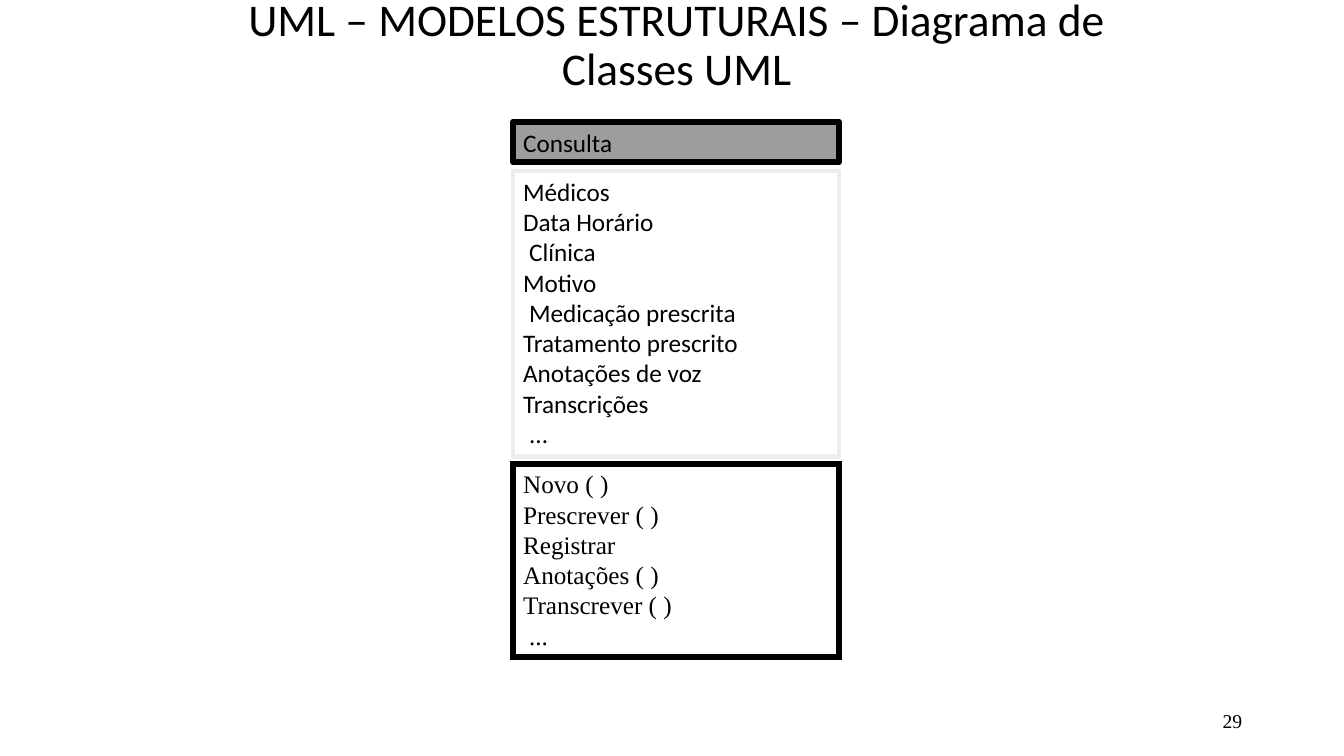
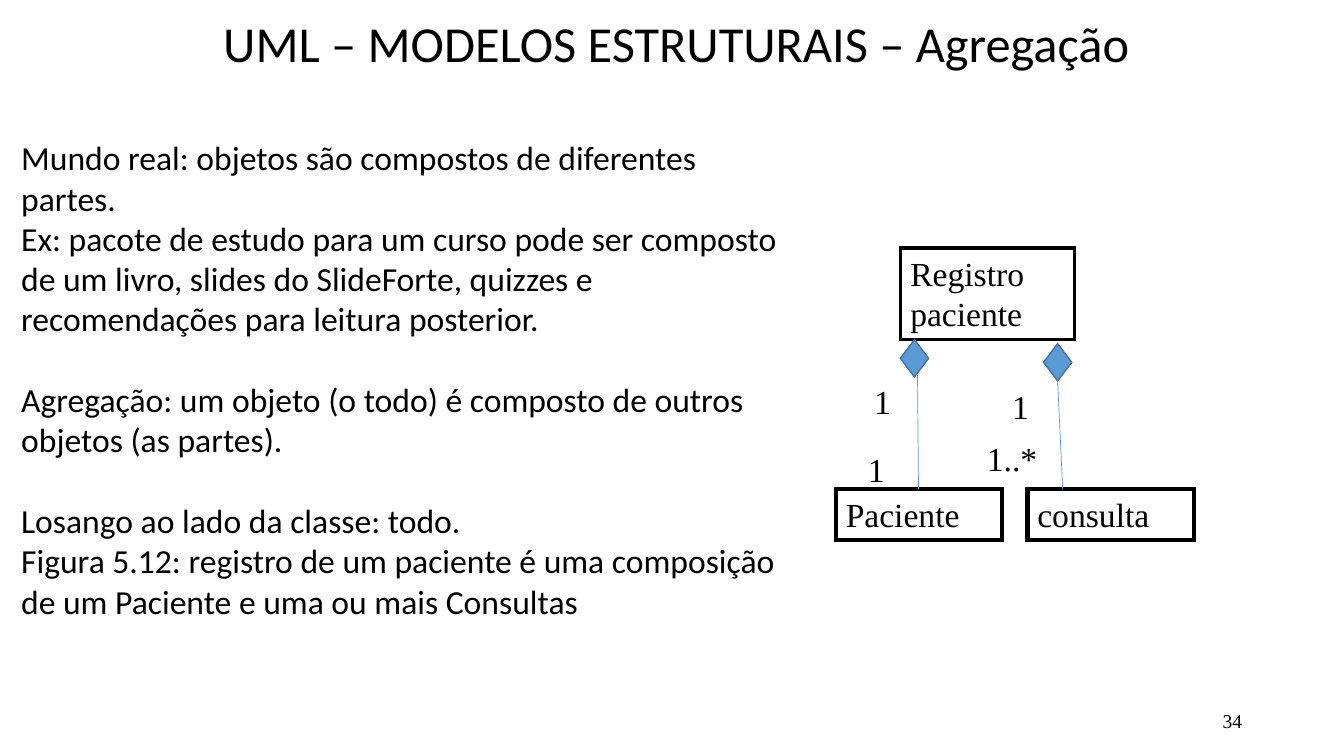
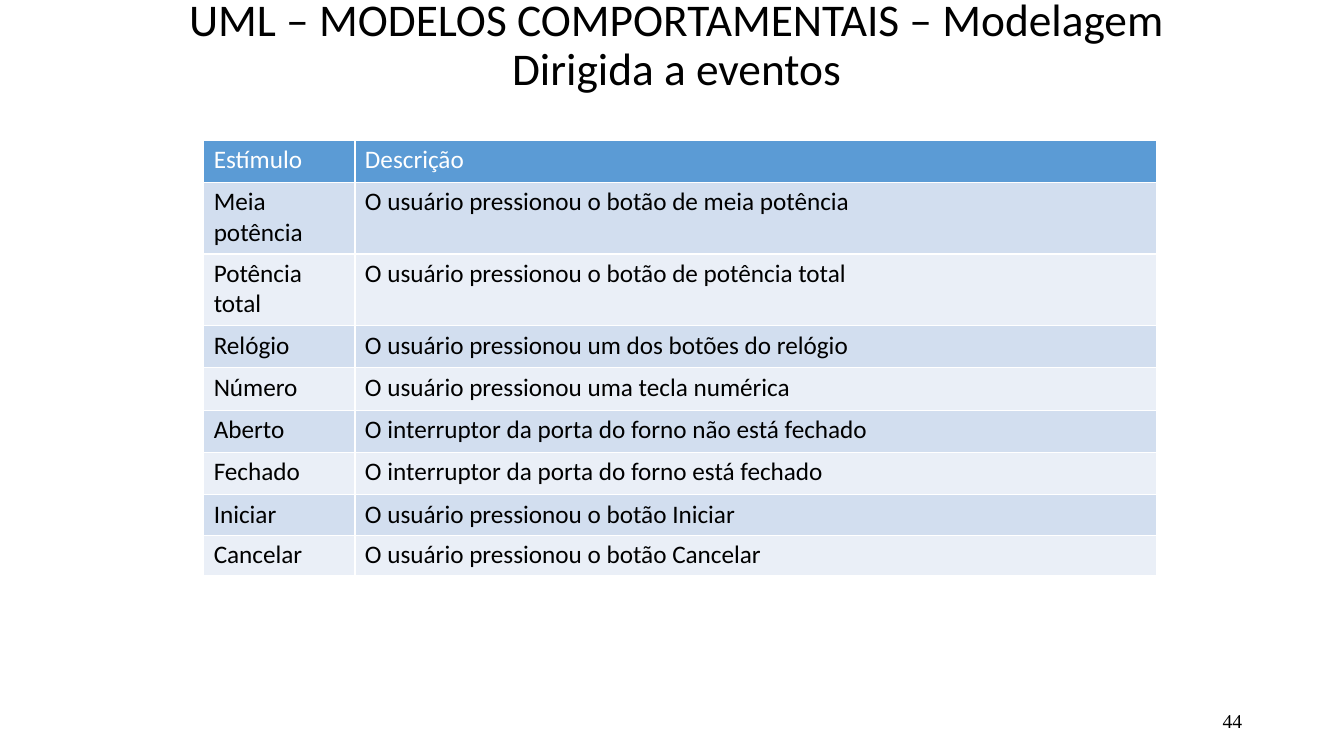
from lxml.etree import SubElement as add_node
from pptx import Presentation
from pptx.dml.color import RGBColor as Rgb
from pptx.enum.shapes import MSO_CONNECTOR as Link, MSO_SHAPE as Form
from pptx.enum.text import MSO_ANCHOR as Anchor, MSO_AUTO_SIZE as Fit, PP_ALIGN as Align
from pptx.oxml.ns import qn
from pptx.util import Emu, Pt

SCALE = 9144
SANS = "Calibri"
SERIF = "Times New Roman"
LEADING = 1.2
INDENT = 6
COLORS = {
    "ink": "000000",
    "paper": "FFFFFF",
    "gray": "9D9D9D",
    "pale": "EDEDED",
    "blue": "5B9BD5",
    "edge": "43739E",
    "dark": "D2DEEF",
    "light": "EAEFF7",
}


def px(count):
    return Emu(count * SCALE)


def tint(name):
    return Rgb.from_string(COLORS[name])


def place(shape, area):
    shape.left, shape.top, shape.width, shape.height = map(px, area)


def write(frame, lines, size, face=SANS, color="ink", align=Align.LEFT,
          anchor=Anchor.TOP, spacing=None, inset=(), gaps=()):
    frame.text = "\n".join(lines)
    frame.word_wrap = True
    frame.auto_size = Fit.NONE
    frame.vertical_anchor = anchor
    style(frame.paragraphs, size, face, color, align, spacing, inset, gaps)


def style(lines, size, face=SANS, color="ink", align=Align.LEFT,
          spacing=None, inset=(), gaps=()):
    for index, line in enumerate(lines):
        props = line._p.get_or_add_pPr()
        props.set("marL", str(px(INDENT if index in inset else 0)))
        props.set("indent", "0")
        add_node(props, qn("a:buNone"))
        line.alignment = align
        line.line_spacing = spacing or Pt(size * LEADING)
        line.space_before = Pt(size * LEADING if index in gaps else 0)
        line.space_after = Pt(0)
        for run in line.runs:
            run.font.size = Pt(size)
            run.font.name = face
            run.font.color.rgb = tint(color)


def add_page(deck, layout, title, number, size):
    slide = deck.slides.add_slide(deck.slide_layouts[layout])
    place(slide.shapes.title, (167, 0, 1008, 91))
    write(slide.shapes.title.text_frame, [title], size, align=Align.CENTER,
          anchor=Anchor.MIDDLE, spacing=0.9)
    add_label(slide.shapes, (942, 695, 300, 40), str(number), 14,
              align=Align.RIGHT, anchor=Anchor.MIDDLE)
    return slide


def add_label(shapes, area, text, size, **look):
    label = shapes.add_textbox(*map(px, area))
    write(label.text_frame, [text], size, SERIF, **look)


def add_form(shapes, form, area, fill, edge, weight, sharp=True):
    shape = shapes.add_shape(form, *map(px, area))
    shape.shadow.inherit = False
    if fill:
        shape.fill.solid()
        shape.fill.fore_color.rgb = tint(fill)
    else:
        shape.fill.background()
    shape.line.color.rgb = tint(edge)
    shape.line.width = Pt(weight)
    if sharp:
        stroke = shape.element.spPr.find(qn("a:ln"))
        add_node(stroke, qn("a:miter"), lim="800000")
    return shape


def add_box(shapes, area, lines, size, face, weight, fill=None, edge="ink",
            sharp=True, inset=()):
    box = add_form(shapes, Form.RECTANGLE, area, fill, edge, weight, sharp)
    write(box.text_frame, lines, size, face, inset=inset)


def add_link(shapes, start, end):
    link = shapes.add_connector(Link.STRAIGHT, *map(px, start + end))
    link.line.color.rgb = tint("blue")
    link.line.width = Pt(0.5)
    add_node(link.element.spPr, qn("a:effectLst"))


def add_borders(cell):
    props = cell._tc.get_or_add_tcPr()
    for side in ("lnL", "lnR", "lnT", "lnB"):
        border = add_node(props, qn("a:" + side), w=str(Pt(1)))
        fill = add_node(border, qn("a:solidFill"))
        add_node(fill, qn("a:srgbClr"), val=COLORS["paper"])


def add_grid(shapes, left, top, widths, heights, rows):
    area = (left, top, sum(widths), sum(heights))
    grid = shapes.add_table(len(rows), len(widths), *map(px, area)).table
    for column, width in zip(grid.columns, widths):
        column.width = px(width)
    for index, (row, height, texts) in enumerate(zip(grid.rows, heights, rows)):
        row.height = px(height)
        band = "dark" if index % 2 else "light"
        fill, color = (band, "ink") if index else ("blue", "paper")
        for cell, text in zip(row.cells, texts):
            add_borders(cell)
            cell.fill.solid()
            cell.fill.fore_color.rgb = tint(fill)
            cell.text_frame.text = text
            style(cell.text_frame.paragraphs, 18, color=color)


def add_class(deck):
    shapes = add_page(deck, 5, "UML – MODELOS ESTRUTURAIS – Diagrama de Classes UML",
                      29, 32.4).shapes
    left, width = 509, 323
    add_box(shapes, (left, 121, width, 40), ["Consulta"], 18, SANS, 4.5,
            fill="gray", sharp=False)
    fields = ["Médicos", "Data Horário", "Clínica", "Motivo",
              "Medicação prescrita", "Tratamento prescrito",
              "Anotações de voz", "Transcrições", "..."]
    add_box(shapes, (left, 170, width, 283), fields, 18, SANS, 3,
            edge="pale", sharp=False, inset=(2, 4, 8))
    actions = ["Novo ( )", "Prescrever ( )", "Registrar", "Anotações ( )",
               "Transcrever ( )", "..."]
    add_box(shapes, (left, 460, width, 192), actions, 18, SERIF, 4.5, inset=(5,))


def add_whole(deck):
    slide = add_page(deck, 1, "UML – MODELOS ESTRUTURAIS – Agregação", 34, 36)
    body = slide.placeholders[1]
    place(body, (11, 131, 783, 495))
    write(body.text_frame, [
        "Mundo real: objetos são compostos de diferentes partes.",
        "Ex: pacote de estudo para um curso pode ser composto de um livro, "
        "slides do SlideForte, quizzes e recomendações para leitura posterior.",
        "Agregação: um objeto (o todo) é composto de outros objetos (as partes).",
        "Losango ao lado da classe: todo.",
        "Figura 5.12: registro de um paciente é uma composição de um Paciente "
        "e uma ou mais Consultas",
    ], 24, gaps=(2, 3))
    shapes = slide.shapes.add_group_shape().shapes
    add_box(shapes, (893, 246, 173, 91), ["Registro paciente"], 24, SERIF, 2.25)
    for left, name in ((829, "Paciente"), (1019, "consulta")):
        add_box(shapes, (left, 485, 165, 51), [name], 24, SERIF, 3)
    add_link(shapes, (910, 372), (911, 485))
    for left, top in ((893, 337), (1035, 341)):
        add_form(shapes, Form.DIAMOND, (left, top, 28, 37), "blue", "edge", 1)
    for left, top, width, text in ((857, 373, 35, "1"), (851, 440, 55, "1"),
                                   (994, 378, 41, "1"), (969, 429, 73, "1..*")):
        add_label(shapes, (left, top, width, 51), text, 24)
    add_link(shapes, (1049, 378), (1054, 485))


def add_events(deck):
    slide = add_page(
        deck, 5, "UML – MODELOS COMPORTAMENTAIS – Modelagem Dirigida a eventos",
        44, 32.4)
    rows = [
        ("Estímulo", "Descrição"),
        ("Meia potência", "O usuário pressionou o botão de meia potência"),
        ("Potência total", "O usuário pressionou o botão de potência total"),
        ("Relógio", "O usuário pressionou um dos botões do relógio"),
        ("Número", "O usuário pressionou uma tecla numérica"),
        ("Aberto", "O interruptor da porta do forno não está fechado"),
        ("Fechado", "O interruptor da porta do forno está fechado"),
        ("Iniciar", "O usuário pressionou o botão Iniciar"),
        ("Cancelar", "O usuário pressionou o botão Cancelar"),
    ]
    heights = [42] + [71] * 2 + [42] * 4 + [40] * 2
    add_grid(slide.shapes, 202, 139, (150, 795), heights, rows)


def main():
    deck = Presentation()
    deck.slide_width, deck.slide_height = px(1333), px(750)
    add_class(deck)
    add_whole(deck)
    add_events(deck)
    deck.save("out.pptx")


if __name__ == "__main__":
    main()
